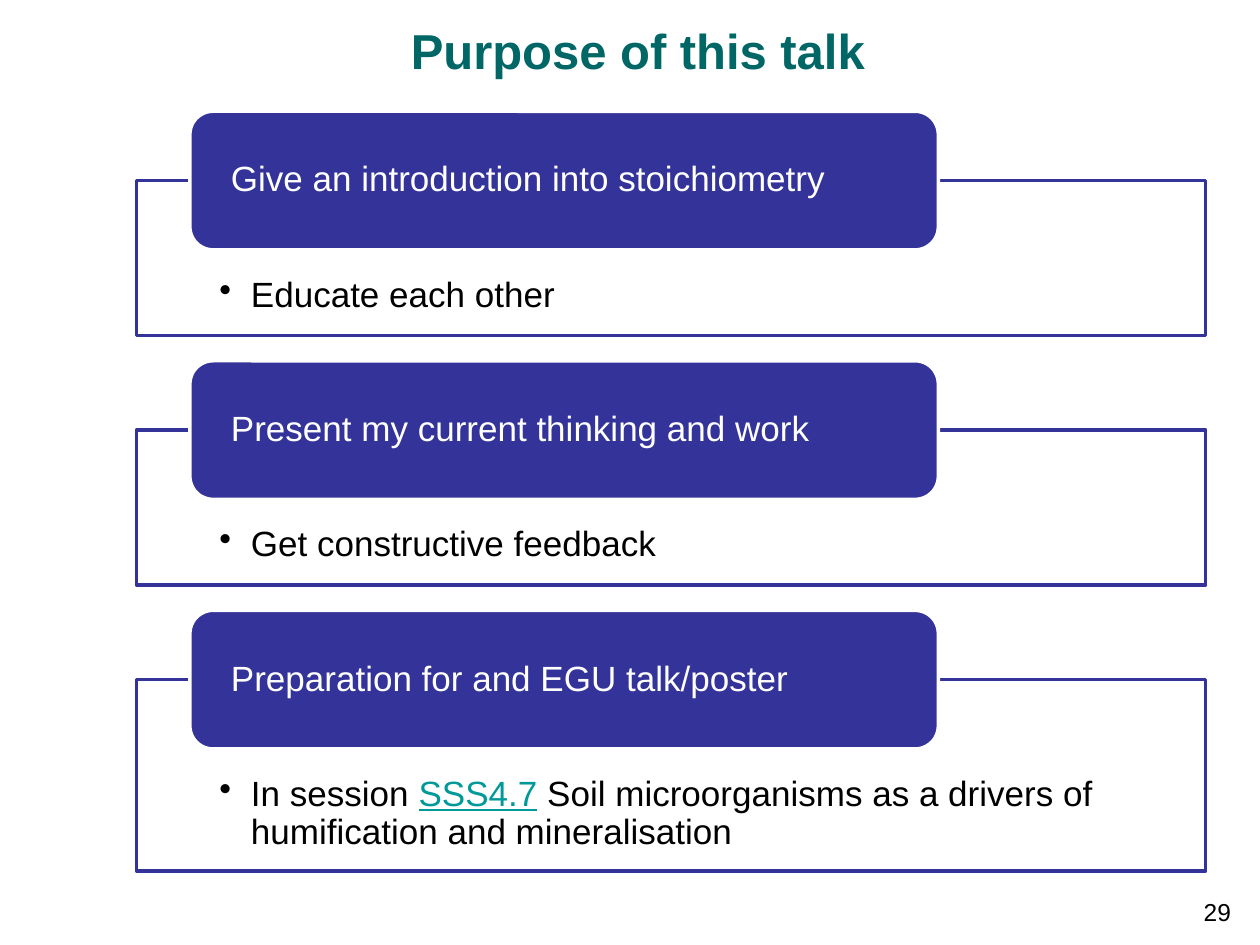
import pptx
import pptx.util
import pptx.dml.color
import pptx.enum.shapes
import pptx.enum.text
import pptx.oxml
import pptx.oxml.ns
from lxml import etree

Pt = pptx.util.Pt
RGBColor = pptx.dml.color.RGBColor
SHAPE = pptx.enum.shapes.MSO_SHAPE
ALIGN = pptx.enum.text.PP_ALIGN
ANCHOR = pptx.enum.text.MSO_ANCHOR
qn = pptx.oxml.ns.qn

INDIGO = RGBColor(0x33, 0x33, 0x99)
DARK_TEAL = RGBColor(0x00, 0x66, 0x66)
LINK_TEAL = RGBColor(0x00, 0x99, 0x99)
WHITE = RGBColor(0xFF, 0xFF, 0xFF)
BLACK = RGBColor(0x00, 0x00, 0x00)

FONT = "Arial"
HEADING_OVERLAP = 39.6
HEADING_HEIGHT = 79.2
SECTION_GAP = 14.4

# Heading, text runs (the marked one looks like a link), outline height
SECTIONS = [
    ("Give an introduction into stoichiometry", [("Educate each other", False)], 88.6),
    ("Present my current thinking and work", [("Get constructive feedback", False)], 88.6),
    ("Preparation for and EGU talk/poster",
     [("In session ", False), ("SSS4.7", True),
      (" Soil microorganisms as a drivers of humification and mineralisation", False)], 109.4),
]


def write_text(target, runs, size=20, color=BLACK, bold=False, align=ALIGN.LEFT,
               anchor=ANCHOR.TOP, insets=(7.2, 3.6, 7.2, 3.6), line_spacing=None,
               bullet_indent=None):
    """Fill a shape with one paragraph of (text, is_link) runs."""
    frame = target.text_frame
    frame.word_wrap = True
    frame.auto_size = pptx.enum.text.MSO_AUTO_SIZE.NONE
    frame.vertical_anchor = anchor
    (frame.margin_left, frame.margin_top,
     frame.margin_right, frame.margin_bottom) = map(Pt, insets)
    paragraph = frame.paragraphs[0]
    paragraph.alignment = align
    if line_spacing:
        paragraph.line_spacing = line_spacing
    if bullet_indent:
        properties = paragraph._p.get_or_add_pPr()
        properties.set("marL", str(Pt(bullet_indent)))
        properties.set("indent", str(-Pt(bullet_indent)))
        etree.SubElement(properties, qn("a:buChar")).set("char", "•")
    for text, is_link in runs:
        run = paragraph.add_run()
        run.text = text
        run.font.name = FONT
        run.font.size = Pt(size)
        run.font.bold = bold
        run.font.underline = is_link
        run.font.color.rgb = LINK_TEAL if is_link else color


def add_panel(slide, preset, box, fill, line):
    panel = slide.shapes.add_shape(preset, *map(Pt, box))
    panel.shadow.inherit = False
    panel.fill.solid()
    panel.fill.fore_color.rgb = fill
    panel.line.color.rgb = line
    panel.line.width = Pt(2)
    return panel


def add_title(slide, box):
    title = slide.shapes.title
    title.left, title.top, title.width, title.height = map(Pt, box)
    write_text(title, [("Purpose of this talk", False)], size=28, color=DARK_TEAL,
               bold=True, align=ALIGN.CENTER, anchor=ANCHOR.MIDDLE)


def add_section(slide, box, heading, detail):
    left, top, width, height = box
    # Outlined body
    body = add_panel(slide, SHAPE.RECTANGLE,
                     (left, top + HEADING_OVERLAP, width, height - HEADING_OVERLAP),
                     WHITE, INDIGO)
    fill_color = body.fill._xPr.find(qn("a:solidFill"))[0]
    etree.SubElement(fill_color, qn("a:alpha")).set("val", "90000")
    write_text(body, detail, insets=(47.4, 55.2, 47.4, 11.4), line_spacing=0.9,
               bullet_indent=18)
    # Heading over the top edge
    tab = add_panel(slide, SHAPE.ROUNDED_RECTANGLE,
                    (left + 0.05 * width, top, 0.7 * width, HEADING_HEIGHT),
                    INDIGO, WHITE)
    write_text(tab, [(heading, False)], color=WHITE, anchor=ANCHOR.MIDDLE,
               insets=(19.6, 0, 19.6, 0), line_spacing=0.9)


def add_sections(slide, box):
    left, top, width = box
    for heading, detail, outline_height in SECTIONS:
        height = HEADING_OVERLAP + outline_height
        add_section(slide, (left, top, width, height), heading, detail)
        top += height + SECTION_GAP


def add_page_number(slide, box):
    number = slide.shapes.add_textbox(*map(Pt, box))
    write_text(number, [("29", False)], size=14, align=ALIGN.RIGHT)


def main():
    deck = pptx.Presentation()
    deck.slide_width, deck.slide_height = Pt(720), Pt(540)
    slide = deck.slides.add_slide(deck.slide_layouts[5])
    add_title(slide, (67.5, 7.5, 594, 42))
    add_sections(slide, (78, 63.6, 611))
    add_page_number(slide, (662.4, 509, 48.2, 21.6))
    deck.save("out.pptx")


if __name__ == "__main__":
    main()
